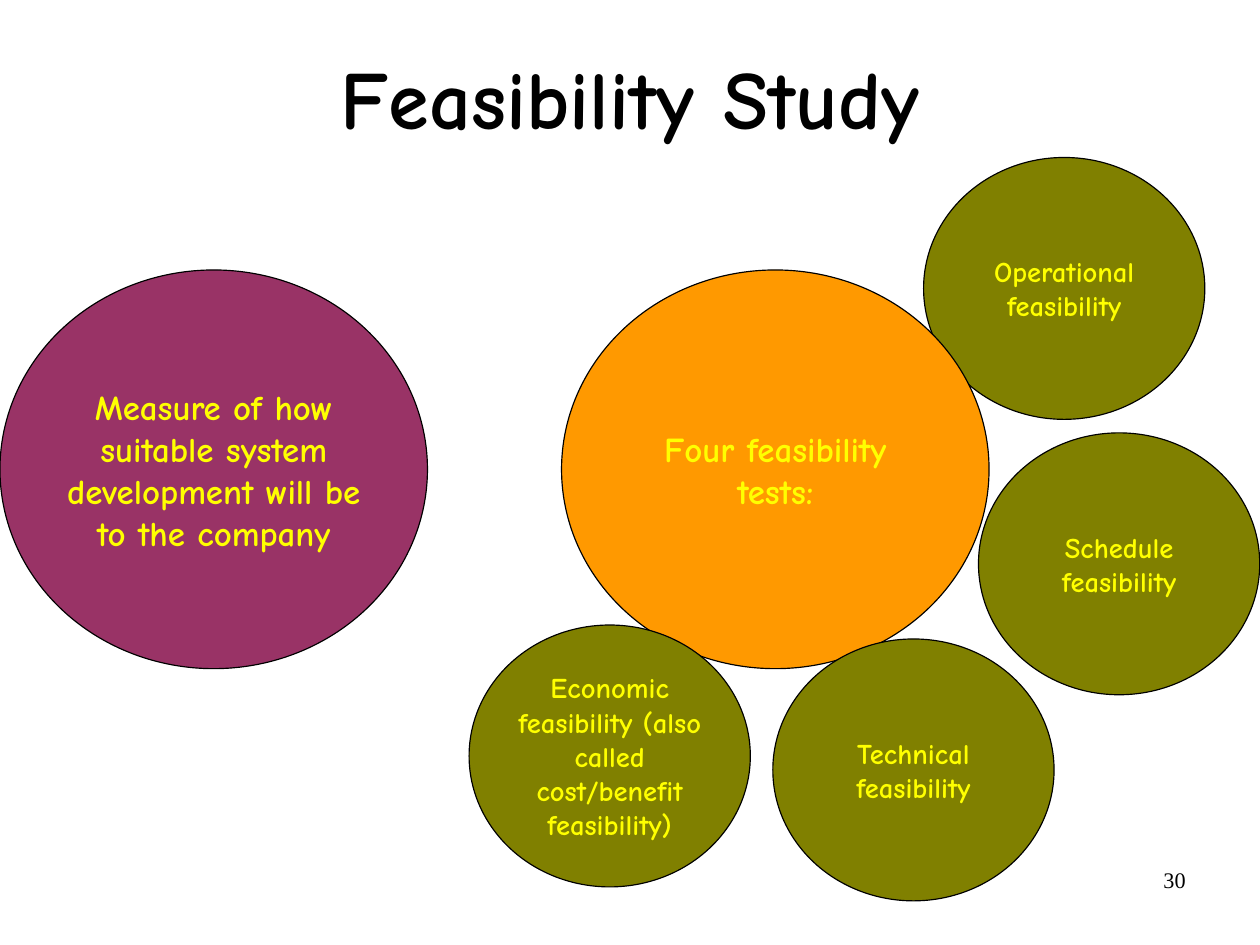
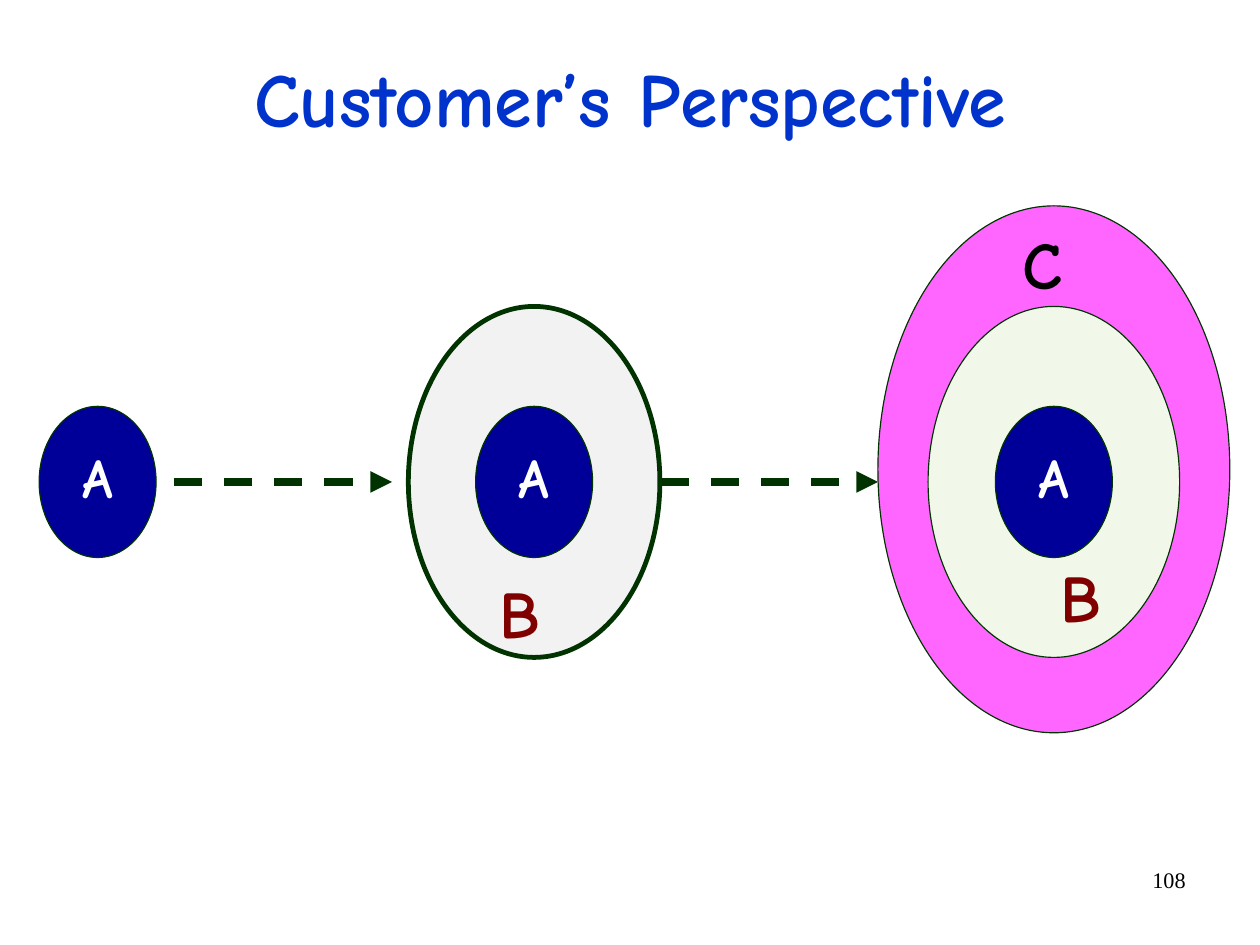
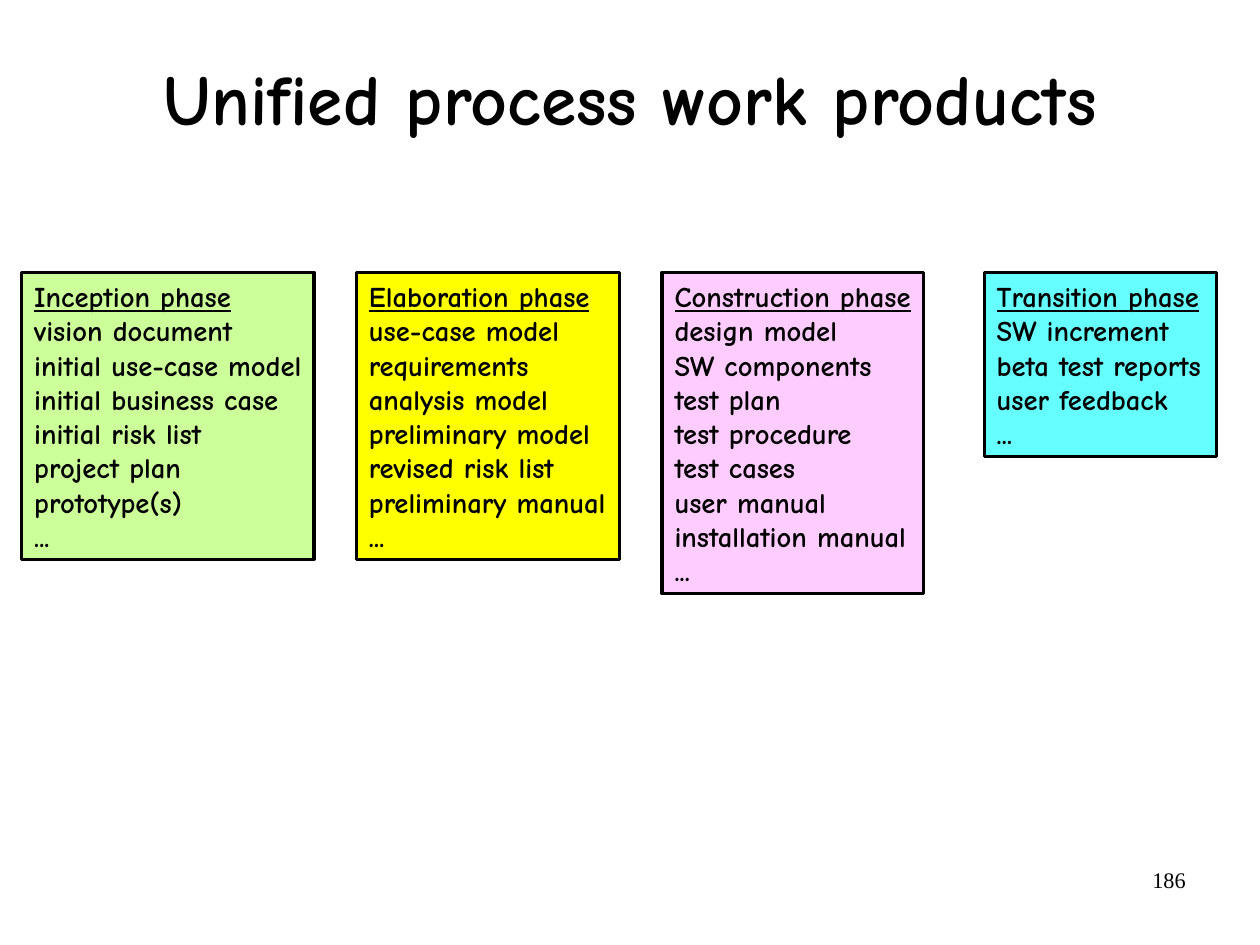
"""Build three slides on feasibility, customers and work products."""
from dataclasses import dataclass

from lxml import etree
from pptx import Presentation
from pptx import util as u
from pptx.dml import color
from pptx.enum import dml, shapes, text
from pptx.oxml import ns


@dataclass(frozen=True)
class Theme:
    face: str = "Comic Neue"
    serif: str = "Times New Roman"
    black: str = "000000"
    white: str = "FFFFFF"
    blue: str = "0033CC"
    plum: str = "993366"
    amber: str = "FF9900"
    olive: str = "808000"
    lemon: str = "FFFF00"
    green: str = "003300"
    navy: str = "000099"
    red: str = "800000"
    pink: str = "FF66FF"
    mint: str = "F1F7E9"
    grey: str = "F2F2F2"
    lime: str = "CCFF99"
    rose: str = "FFCCFF"
    aqua: str = "66FFFF"
    head: int = 52
    title: int = 48
    long: int = 45
    large: int = 22
    small: int = 18
    core: int = 35
    ring: int = 42
    page: int = 14


T = Theme()
LEFT, MID, RIGHT = text.PP_ALIGN.LEFT, text.PP_ALIGN.CENTER, text.PP_ALIGN.RIGHT
TOP, HALF = text.MSO_ANCHOR.TOP, text.MSO_ANCHOR.MIDDLE


def put(item, vals):
    for key, val in vals.items():
        setattr(item, key, val)


class Deck:
    def __init__(self):
        self.show = Presentation()
        put(self.show, {"slide_width": u.Cm(28), "slide_height": u.Cm(21)})
        self.slide = None

    def start(self, title, page, size=T.head, ink=T.black, gap=0.92):
        self.slide = self.show.slides.add_slide(self.show.slide_layouts[6])
        self.label((20.07, 19.13, 6.53, 1.45), str(page), T.page, T.black,
                   face=T.serif, bold=False, align=RIGHT, pad=(0.25, 0.13))
        self.label((2.06, 0.36, 23.88, 3.8), title, size, ink,
                   align=MID, anchor=HALF, gap=gap)

    def label(self, area, words, size, ink, **style):
        box = self.slide.shapes.add_textbox(*map(u.Cm, area))
        self.letter(box, [words], size, ink, **style)

    def letter(self, shape, lines, size, ink, face=T.face, bold=True, align=LEFT,
               anchor=TOP, pad=(0, 0), gap=1.0, wrap=True):
        frame = shape.text_frame
        side, edge = map(u.Cm, pad)
        put(frame, {"word_wrap": wrap, "vertical_anchor": anchor,
                    "margin_left": side, "margin_right": side,
                    "margin_top": edge, "margin_bottom": edge})
        frame.text = "\n".join(lines)
        for para in frame.paragraphs:
            put(para, {"alignment": align, "line_spacing": gap})
            put(para.font, {"name": face, "size": u.Pt(size), "bold": bold})
            para.font.color.rgb = color.RGBColor.from_string(ink)

    def shape(self, kind, area, fill, line, width):
        item = self.slide.shapes.add_shape(kind, *map(u.Cm, area))
        item.shadow.inherit = False
        item.fill.solid()
        item.fill.fore_color.rgb = color.RGBColor.from_string(fill)
        item.line.color.rgb = color.RGBColor.from_string(line)
        item.line.width = u.Pt(width)
        return item

    def oval(self, spot, size, fill, line=T.black, width=0.75):
        (x, y), (w, h) = spot, size
        area = (x - w / 2, y - h / 2, w, h)
        return self.shape(shapes.MSO_SHAPE.OVAL, area, fill, line, width)

    def disc(self, spot, size, fill, words, points):
        item = self.oval(spot, size, fill)
        self.letter(item, [words], points, T.lemon, align=MID, anchor=HALF)

    def core(self, spot):
        item = self.oval(spot, (2.6, 3.36), T.navy, T.green)
        self.letter(item, ["A"], T.core, T.white, align=MID, anchor=HALF,
                    pad=(0.05, 0.15), gap=0.85)

    def mark(self, spot, words, ink):
        self.label((*spot, 1.85, 3.4), words, T.ring, ink,
                   pad=(0.05, 0.15), gap=0.85)

    def arrow(self, x, end, y):
        item = self.slide.shapes.add_connector(
            shapes.MSO_CONNECTOR.STRAIGHT, *map(u.Cm, (x, y, end, y)))
        item.line.color.rgb = color.RGBColor.from_string(T.green)
        put(item.line, {"width": u.Pt(4.5), "dash_style": dml.MSO_LINE.DASH})
        props = item.element.spPr
        etree.SubElement(props.get_or_add_ln(), ns.qn("a:tailEnd"), type="triangle")
        etree.SubElement(props, ns.qn("a:effectLst"))

    def card(self, x, width, fill, lines):
        area = (x, 6.05, width, 0.3 + 0.76 * len(lines))
        item = self.shape(shapes.MSO_SHAPE.RECTANGLE, area, fill, T.black, 2)
        self.letter(item, lines, T.small, T.black, pad=(0.28, 0.15), wrap=False)
        item.text_frame.auto_size = text.MSO_AUTO_SIZE.SHAPE_TO_FIT_TEXT
        item.text_frame.paragraphs[0].font.underline = True


def study(deck):
    deck.start("Feasibility Study", 30)
    big, little = (9.5, 8.86), (6.25, 5.82)
    for spot, size, fill, words, points in (
        ((4.75, 10.43), big, T.plum,
         "Measure of how suitable system development will be to the company", T.large),
        ((23.65, 6.41), little, T.olive, "Operational feasibility", T.small),
        ((24.87, 12.53), little, T.olive, "Schedule feasibility", T.small),
        ((17.23, 10.43), big, T.amber, "Four feasibility tests:", T.large),
        ((20.3, 17.11), little, T.olive, "Technical feasibility", T.small),
        ((13.55, 16.8), little, T.olive,
         "Economic feasibility (also called cost/benefit feasibility)", T.small),
    ):
        deck.disc(spot, size, fill, words, points)


def view(deck):
    deck.start("Customer’s Perspective", 108, T.title, T.blue, 0.94)
    y, near, mid, far = 10.71, 2.17, 11.87, 23.42
    ring = (5.59, 7.8)
    deck.oval((far, 10.43), (7.82, 11.71), T.pink, T.green)
    deck.oval((far, y), ring, T.mint, T.green)
    deck.oval((mid, y), ring, T.grey, T.green, 3)
    for x, end in ((3.86, 8.71), (14.68, 19.51)):
        deck.arrow(x, end, y)
    for x in (near, mid, far):
        deck.core((x, y))
    for spot, words, ink in (((22.68, 5.08), "C", T.black),
                             ((23.52, 12.47), "B", T.red),
                             ((11.05, 12.83), "B", T.red)):
        deck.mark(spot, words, ink)


def work(deck):
    deck.start("Unified process work products", 186, T.long)
    for x, width, fill, lines in (
        (0.48, 6.5, T.lime,
         ["Inception phase", "vision document", "initial use-case model",
          "initial business case", "initial risk list", "project plan",
          "prototype(s)", "..."]),
        (7.92, 5.84, T.lemon,
         ["Elaboration phase", "use-case model", "requirements",
          "analysis model", "preliminary model", "revised risk list",
          "preliminary manual", "..."]),
        (14.71, 5.82, T.rose,
         ["Construction phase", "design model", "SW components", "test plan",
          "test procedure", "test cases", "user manual",
          "installation manual", "..."]),
        (21.87, 5.16, T.aqua,
         ["Transition phase", "SW increment", "beta test reports",
          "user feedback", "..."]),
    ):
        deck.card(x, width, fill, lines)


def main():
    deck = Deck()
    for build in (study, view, work):
        build(deck)
    deck.show.save("out.pptx")


if __name__ == "__main__":
    main()
